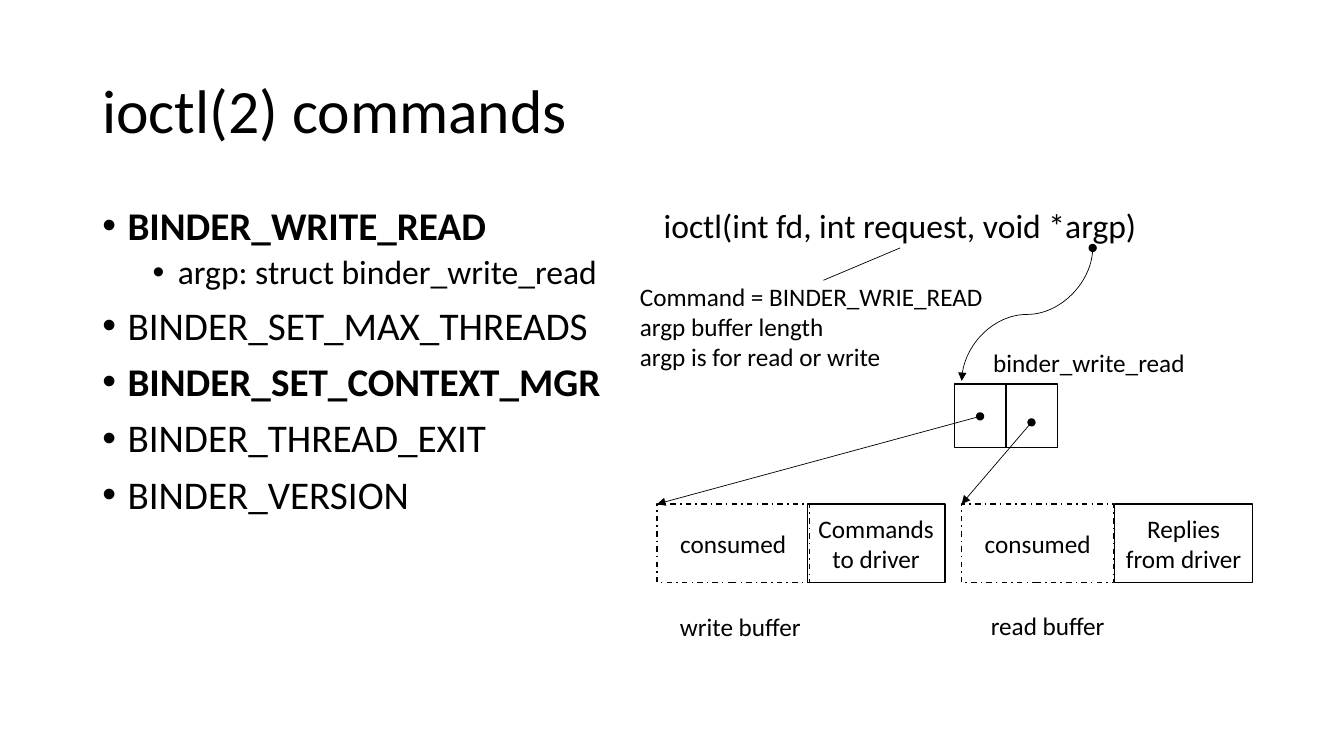
"""Build the slide on ioctl(2) commands with its binder buffer diagram."""
from lxml.etree import SubElement
from pptx import Presentation
from pptx.dml.color import RGBColor
from pptx.enum.dml import MSO_LINE as DASH
from pptx.enum.shapes import MSO_CONNECTOR as CONN, MSO_SHAPE as SHAPE
from pptx.enum.text import MSO_ANCHOR as ANCHOR, PP_ALIGN as ALIGN
from pptx.oxml.ns import qn
from pptx.util import Pt

BLACK = RGBColor(0, 0, 0)
WHITE = RGBColor(255, 255, 255)


def add_run(p, text, **fmt):
    r = p.add_run()
    r.text = text
    r.font.color.rgb = BLACK
    for name, value in ({"name": "Calibri", "size": Pt(18)} | fmt).items():
        setattr(r.font, name, value)


def add_box(x, y, w, h, text="", line=BLACK, fill=None, size=18, align=ALIGN.CENTER):
    sp = s.shapes.add_shape(SHAPE.RECTANGLE, Pt(x), Pt(y), Pt(w), Pt(h))
    sp.shadow.inherit = False
    if fill is None:
        sp.fill.background()
    else:
        sp.fill.solid()
        sp.fill.fore_color.rgb = fill
    if line is None:
        sp.line.fill.background()
    else:
        sp.line.color.rgb = line
        sp.line.width = Pt(1)
    tf = sp.text_frame
    tf.vertical_anchor = ANCHOR.MIDDLE
    for i, row in enumerate(text.splitlines()):
        p = tf.add_paragraph() if i else tf.paragraphs[0]
        p.alignment = align
        add_run(p, row, size=Pt(size))
    return sp


prs = Presentation()
prs.slide_width, prs.slide_height = Pt(960), Pt(540)
s = prs.slides.add_slide(prs.slide_layouts[6])

title = s.shapes.add_textbox(Pt(66), Pt(28.8), Pt(828), Pt(104.4))
tf = title.text_frame
tf.word_wrap = True
tf.vertical_anchor = ANCHOR.MIDDLE
tf.paragraphs[0].line_spacing = 0.9
add_run(tf.paragraphs[0], "ioctl(2) commands", size=Pt(44))

commands = [
    ("BINDER_WRITE_READ", 0, True),
    ("argp: struct binder_write_read", 1, False),
    ("BINDER_SET_MAX_THREADS", 0, False),
    ("BINDER_SET_CONTEXT_MGR", 0, True),
    ("BINDER_THREAD_EXIT", 0, False),
    ("BINDER_VERSION", 0, False),
]
body = s.shapes.add_textbox(Pt(66), Pt(144), Pt(387.4), Pt(342.7))
tf = body.text_frame
tf.word_wrap = True
for i, (text, level, bold) in enumerate(commands):
    p = tf.add_paragraph() if i else tf.paragraphs[0]
    p.level = level
    p.line_spacing = 0.9
    p.space_before = Pt(5 if level else 10)
    add_run(p, text, size=Pt(24 if level else 28), bold=bold)
    pPr = p._p.get_or_add_pPr()
    pPr.set("marL", str(Pt(18 + 36 * level)))
    pPr.set("indent", str(Pt(-18)))
    SubElement(pPr, qn("a:buFont")).set("typeface", "Arial")
    SubElement(pPr, qn("a:buChar")).set("char", "•")

add_box(453.6, 144, 378.7, 33.1, "ioctl(int fd, int request, void *argp)",
        line=WHITE, fill=WHITE, size=24)
add_box(450, 200.2, 277.2, 66.2,
        "Command = BINDER_WRIE_READ\nargp buffer length\nargp is for read or write",
        line=None, fill=WHITE, align=ALIGN.LEFT)

for x in (681.8, 718.5):
    add_box(x, 274.3, 36.7, 45.4)

buffers = [(469.4, 576.7, "Commands to driver"), (686.9, 796.3, "Replies from driver")]
for consumed_x, data_x, text in buffers:
    add_box(data_x, 360, 98.3, 56.2, text)
    add_box(consumed_x, 360, 108.7, 56.2, "consumed").line.dash_style = DASH.DASH_DOT

labels = [
    (699.8, 251.3, 156.2, 15.8, "binder_write_read"),
    (688.3, 435.6, 120.2, 21.6, "read buffer"),
    (468.7, 437, 120.2, 21.6, "write buffer"),
]
for x, y, w, h, text in labels:
    add_box(x, y, w, h, text, line=WHITE)

links = [
    (CONN.STRAIGHT, 643, 177.1, 588.2, 200.2, False),
    (CONN.STRAIGHT, 700.1, 297.4, 469.4, 360, True),
    (CONN.STRAIGHT, 736.8, 301.7, 686.9, 360, True),
    (CONN.CURVE, 686.2, 177.8, 781.2, 271.4, True),
]
for kind, x1, y1, x2, y2, arrow in links:
    cx = s.shapes.add_connector(kind, Pt(x1), Pt(y1), Pt(x2), Pt(y2))
    cx.line.color.rgb = BLACK
    cx.line.width = Pt(0.5)
    spPr = cx._element.spPr
    SubElement(spPr, qn("a:effectLst"))
    if arrow:
        ln = spPr.find(qn("a:ln"))
        SubElement(ln, qn("a:headEnd")).set("type", "oval")
        SubElement(ln, qn("a:tailEnd")).set("type", "triangle")
    if kind == CONN.CURVE:
        spPr.find(qn("a:xfrm")).set("rot", str(90 * 60000))

prs.save("out.pptx")
